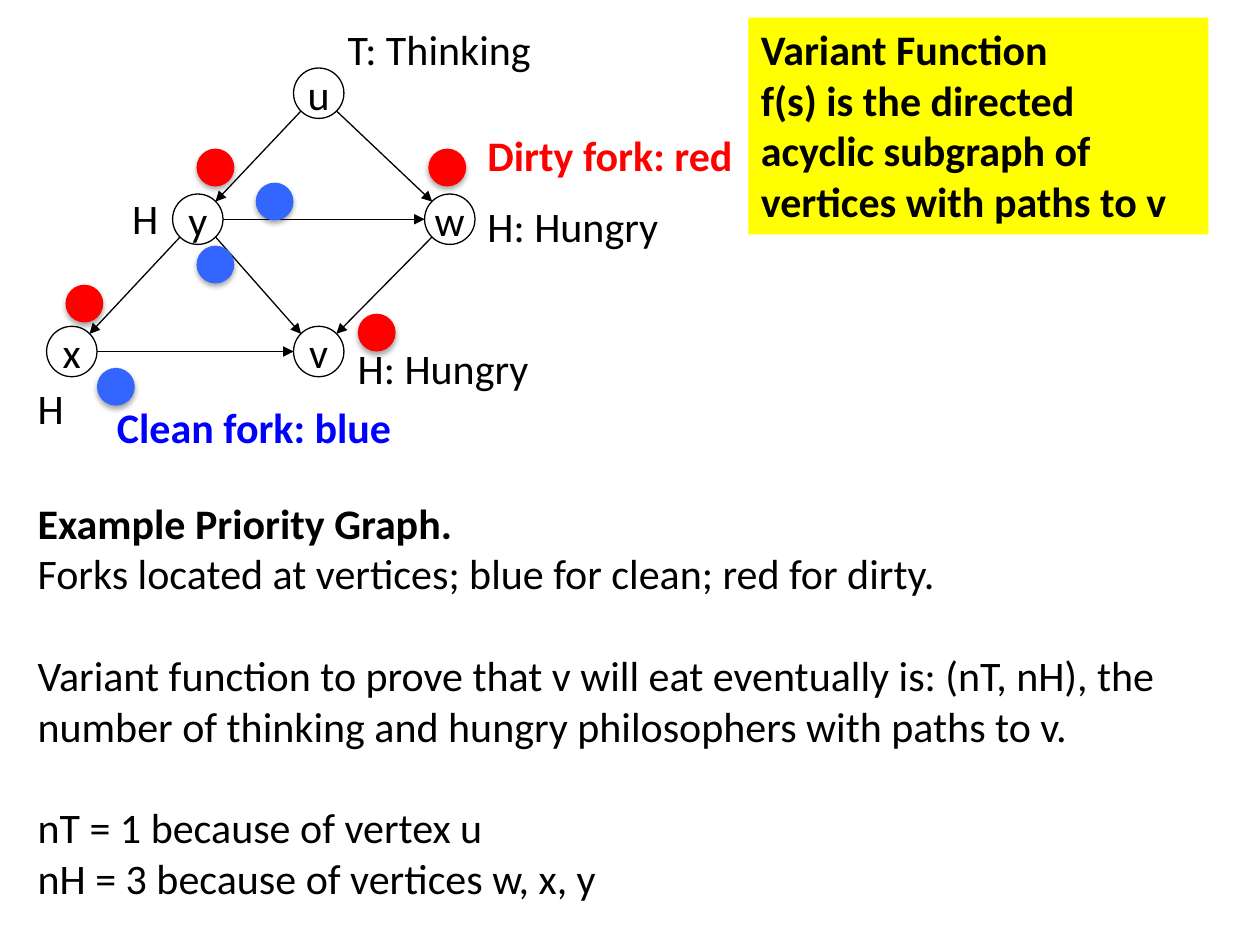
import pptx
import pptx.util
import pptx.dml.color
import pptx.enum.shapes
import pptx.enum.text
import pptx.oxml
import pptx.oxml.ns
from dataclasses import dataclass
from math import copysign

Inches = pptx.util.Inches
Pt = pptx.util.Pt
RGB = pptx.dml.color.RGBColor.from_string
SHAPES = pptx.enum.shapes.MSO_SHAPE
TEXT = pptx.enum.text


@dataclass(frozen=True)
class Theme:
    font: str = "Calibri"
    size: float = 24
    line: float = 0.75
    gap: float = 29.3
    ink: str = "000000"
    dirty: str = "FF0000"
    clean: str = "3366FF"
    clean_text: str = "0000FF"
    highlight: str = "FFFF00"


THEME = Theme()
VERTEX = 0.4
FORK = 0.3
DIAGONAL = 0.14  # reach of a vertex rim along each axis at 45 degrees

# Graph content, in inches from the corner of the graph
VERTICES = {"u": (2.33, 0.6), "y": (1.37, 1.6), "w": (3.37, 1.6),
            "v": (2.33, 2.65), "x": (0.37, 2.65)}
EDGES = ["uy", "uw", "yw", "yx", "xv", "yv", "wv"]
LABELS = [("H", 0, 2.85, 0.41, THEME.ink, False),
          ("H", 0.75, 1.34, 0.41, THEME.ink, False),
          ("H: Hungry", 3.57, 1.4, 1.58, THEME.ink, False),
          ("T: Thinking", 2.46, 0, 1.69, THEME.ink, False),
          ("H: Hungry", 2.54, 2.53, 1.58, THEME.ink, False),
          ("Dirty fork: red", 3.57, 0.84, 2.18, THEME.dirty, True),
          ("Clean fork: blue", 0.63, 3, 2.41, THEME.clean_text, True)]
FORKS = {THEME.dirty: [(1.36, 1.04), (3.2, 1.04), (2.64, 2.35), (0.32, 2.12)],
         THEME.clean: [(1.83, 1.31), (1.36, 1.81), (0.57, 2.78)]}

# Text content: wording, bold, gap above
VARIANT = [("Variant Function", True, False),
           ("f(s) is the directed acyclic subgraph of vertices with paths to v",
            True, False)]
EXPLANATION = [
    ("Example Priority Graph. ", True, False),
    ("Forks located at vertices; blue for clean; red for dirty.", False, False),
    ("Variant function to prove that v will eat eventually is: (nT, nH), the "
     "number of thinking and hungry philosophers with paths to v.", False, True),
    ("nT = 1 because of vertex u", False, True),
    ("nH = 3 because of vertices w, x, y", False, False)]


def apply(target, formats):
    for name, value in formats.items():
        setattr(target, name, value)


def write(shape, paragraphs, color=THEME.ink, align=TEXT.PP_ALIGN.LEFT, **frame):
    apply(shape.text_frame, frame)
    for index, (wording, bold, gap) in enumerate(paragraphs):
        paragraph = (shape.text_frame.add_paragraph() if index
                     else shape.text_frame.paragraphs[0])
        apply(paragraph, {"alignment": align,
                          "space_before": Pt(THEME.gap if gap else 0)})
        run = paragraph.add_run()
        run.text = wording
        apply(run.font, {"name": THEME.font, "size": Pt(THEME.size), "bold": bold})
        run.font.color.rgb = RGB(color)


def add_effects(shape, content=""):
    shape._element.spPr.append(pptx.oxml.parse_xml(
        f'<a:effectLst {pptx.oxml.ns.nsdecls("a")}>{content}</a:effectLst>'))


def set_line(line):
    line.color.rgb = RGB(THEME.ink)
    line.width = Pt(THEME.line)


def draw_edge(shapes, start, end):
    dx, dy = end[0] - start[0], end[1] - start[1]
    reach_x = copysign(DIAGONAL if dy else VERTEX / 2, dx)
    reach_y = copysign(DIAGONAL, dy) if dy else 0
    edge = shapes.add_connector(
        pptx.enum.shapes.MSO_CONNECTOR.STRAIGHT,
        Inches(start[0] + reach_x), Inches(start[1] + reach_y),
        Inches(end[0] - reach_x), Inches(end[1] - reach_y))
    set_line(edge.line)
    edge.line._get_or_add_ln().append(pptx.oxml.parse_xml(
        f'<a:tailEnd {pptx.oxml.ns.nsdecls("a")} type="triangle"/>'))
    add_effects(edge)


def draw_vertex(shapes, name, x, y):
    vertex = shapes.add_shape(SHAPES.OVAL, Inches(x - VERTEX / 2),
                              Inches(y - VERTEX / 2), Inches(VERTEX), Inches(VERTEX))
    vertex.shadow.inherit = False
    vertex.fill.background()
    set_line(vertex.line)
    write(vertex, [(name, False, False)], align=TEXT.PP_ALIGN.CENTER,
          word_wrap=False, vertical_anchor=TEXT.MSO_ANCHOR.MIDDLE)


def draw_fork(shapes, x, y, color):
    fork = shapes.add_shape(SHAPES.OVAL, Inches(x), Inches(y),
                            Inches(FORK), Inches(FORK))
    fork.fill.solid()
    fork.fill.fore_color.rgb = RGB(color)
    fork.line.fill.background()
    add_effects(fork, f'<a:outerShdw blurRad="{Pt(3.1)}" dist="{Pt(1.8)}" '
                      'dir="5400000" rotWithShape="0"><a:srgbClr val="000000">'
                      '<a:alpha val="35000"/></a:srgbClr></a:outerShdw>')


def draw_graph(slide, left, top):
    shapes = slide.shapes.add_group_shape().shapes
    centers = {name: (left + x, top + y) for name, (x, y) in VERTICES.items()}
    for name, center in centers.items():
        draw_vertex(shapes, name, *center)
    for start, end in EDGES:
        draw_edge(shapes, centers[start], centers[end])
    for wording, x, y, width, color, bold in LABELS:
        label = shapes.add_textbox(Inches(left + x), Inches(top + y),
                                   Inches(width), Inches(0.5))
        write(label, [(wording, bold, False)], color, word_wrap=False,
              auto_size=TEXT.MSO_AUTO_SIZE.SHAPE_TO_FIT_TEXT)
    for color, places in FORKS.items():
        for x, y in places:
            draw_fork(shapes, left + x, top + y, color)


def draw_text(slide, paragraphs, left, top, width, height, fill=None):
    box = slide.shapes.add_textbox(Inches(left), Inches(top),
                                   Inches(width), Inches(height))
    if fill:
        box.fill.solid()
        box.fill.fore_color.rgb = RGB(fill)
    write(box, paragraphs, word_wrap=True,
          auto_size=TEXT.MSO_AUTO_SIZE.SHAPE_TO_FIT_TEXT)


deck = pptx.Presentation()
apply(deck, {"slide_width": Inches(10), "slide_height": Inches(7.5)})
slide = deck.slides.add_slide(deck.slide_layouts[6])

# Priority graph, variant callout, explanation
draw_graph(slide, 0.2, 0.14)
draw_text(slide, VARIANT, 5.94, 0.14, 3.65, 1.72, THEME.highlight)
draw_text(slide, EXPLANATION, 0.2, 3.9, 9.55, 3.33)

deck.save("out.pptx")
